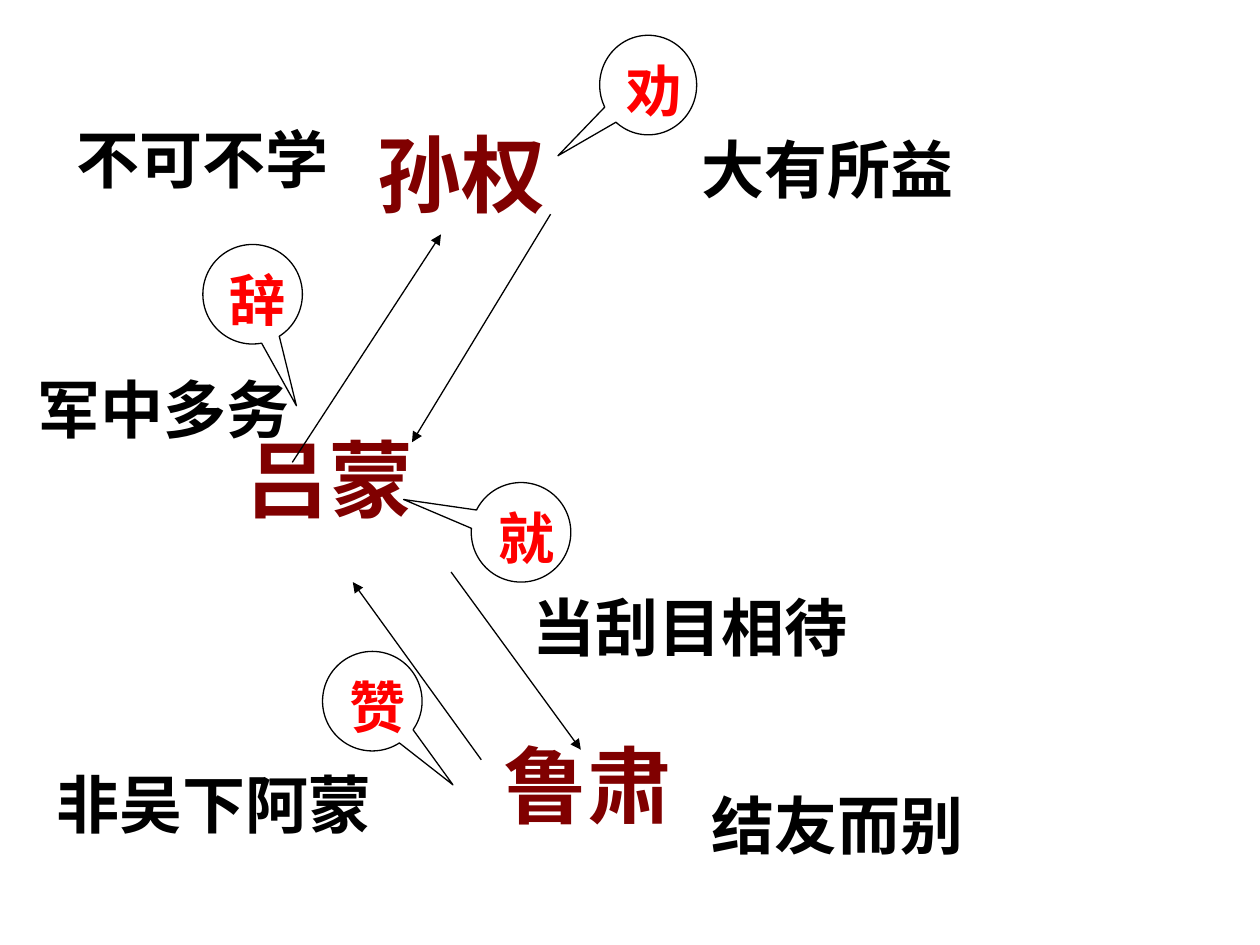
from dataclasses import dataclass

import pptx
import pptx.dml.color
import pptx.enum.shapes
import pptx.enum.text
import pptx.oxml.ns
import pptx.util
from lxml import etree
from pptx.util import Inches


@dataclass(frozen=True)
class Theme:
    font: str = "Times New Roman"
    black: str = "000000"
    white: str = "FFFFFF"
    maroon: str = "800000"
    red: str = "FF0000"
    name_size: int = 48
    quote_size: int = 36
    verb_size: int = 32
    line_width: float = 0.75


THEME = Theme()
NAME_TOP, NAME_STEP = 0.92, 2.425
NAMES = [("孙权", 2.9), ("吕蒙", 1.85), ("鲁肃", 3.9)]
# Each arrow runs from speaker to listener.
ARROWS = [
    ((4.37, 1.7), (3.27, 3.51)),
    ((3.82, 6.03), (2.8, 4.62)),
    ((2.32, 3.67), (3.5, 1.86)),
    ((3.58, 4.54), (4.61, 5.95)),
]
# Verb, left, top, width, and the pointer offset as a share of the bubble size.
VERBS = [
    ("劝", 4.76, 0.28, 0.77, (-0.93, 0.71)),
    ("辞", 1.61, 1.94, 0.79, (0.44, 1.12)),
    ("赞", 2.56, 5.17, 0.79, (0.81, 0.84)),
    ("就", 3.74, 3.83, 0.79, (-1.18, -0.33)),
]
BUBBLE_HEIGHT = 0.79
QUOTES = [
    ("非吴下阿蒙", 0.35, 6.03, 3.23),
    ("军中多务", 0.2, 2.89, 2.99),
    ("不可不学", 0.51, 0.91, 2.91),
    ("当刮目相待", 4.13, 4.62, 3.7),
    ("大有所益", 5.47, 0.99, 2.2),
    ("结友而别", 5.55, 6.19, 3.15),
]


def rgb(value):
    return pptx.dml.color.RGBColor.from_string(value)


def apply(target, values):
    for name, value in values.items():
        setattr(target, name, value)


def write(shape, text, size, color):
    """Put one bold line of text at the top of a shape."""
    frame = shape.text_frame
    apply(frame, {
        "word_wrap": True,
        "vertical_anchor": pptx.enum.text.MSO_ANCHOR.TOP,
    })
    para = frame.paragraphs[0]
    span = para.add_run()
    span.text = text
    apply(span.font, {"name": THEME.font, "size": pptx.util.Pt(size), "bold": True})
    span.font.color.rgb = rgb(color)
    return para


def style_line(line):
    line.color.rgb = rgb(THEME.black)
    line.width = pptx.util.Pt(THEME.line_width)


def add_label(page, text, left, top, width, height, size, color):
    box = page.shapes.add_textbox(*map(Inches, (left, top, width, height)))
    write(box, text, size, color)


def add_arrow(page, start, end):
    arrow = page.shapes.add_connector(
        pptx.enum.shapes.MSO_CONNECTOR.STRAIGHT, *map(Inches, start + end))
    style_line(arrow.line)
    qualified = pptx.oxml.ns.qn
    etree.SubElement(arrow.line._get_or_add_ln(), qualified("a:tailEnd"), type="triangle")
    etree.SubElement(arrow._element.spPr, qualified("a:effectLst"))


def add_bubble(page, verb, left, top, width, pointer):
    bubble = page.shapes.add_shape(
        pptx.enum.shapes.MSO_SHAPE.OVAL_CALLOUT,
        *map(Inches, (left, top, width, BUBBLE_HEIGHT)))
    bubble.shadow.inherit = False
    for index, offset in enumerate(pointer):
        bubble.adjustments[index] = offset
    bubble.fill.solid()
    bubble.fill.fore_color.rgb = rgb(THEME.white)
    style_line(bubble.line)
    para = write(bubble, verb, THEME.verb_size, THEME.red)
    para.alignment = pptx.enum.text.PP_ALIGN.CENTER


def main():
    deck = pptx.Presentation()
    apply(deck, {"slide_width": Inches(10), "slide_height": Inches(7.5)})
    page = deck.slides.add_slide(deck.slide_layouts.get_by_name("Blank"))
    for row, (name, left) in enumerate(NAMES):
        add_label(page, name, left, NAME_TOP + row * NAME_STEP, 1.54, 0.9,
                  THEME.name_size, THEME.maroon)
    for start, end in ARROWS:
        add_arrow(page, start, end)
    for verb in VERBS:
        add_bubble(page, *verb)
    for quote in QUOTES:
        add_label(page, *quote, 0.7, THEME.quote_size, THEME.black)
    deck.save("out.pptx")


if __name__ == "__main__":
    main()
